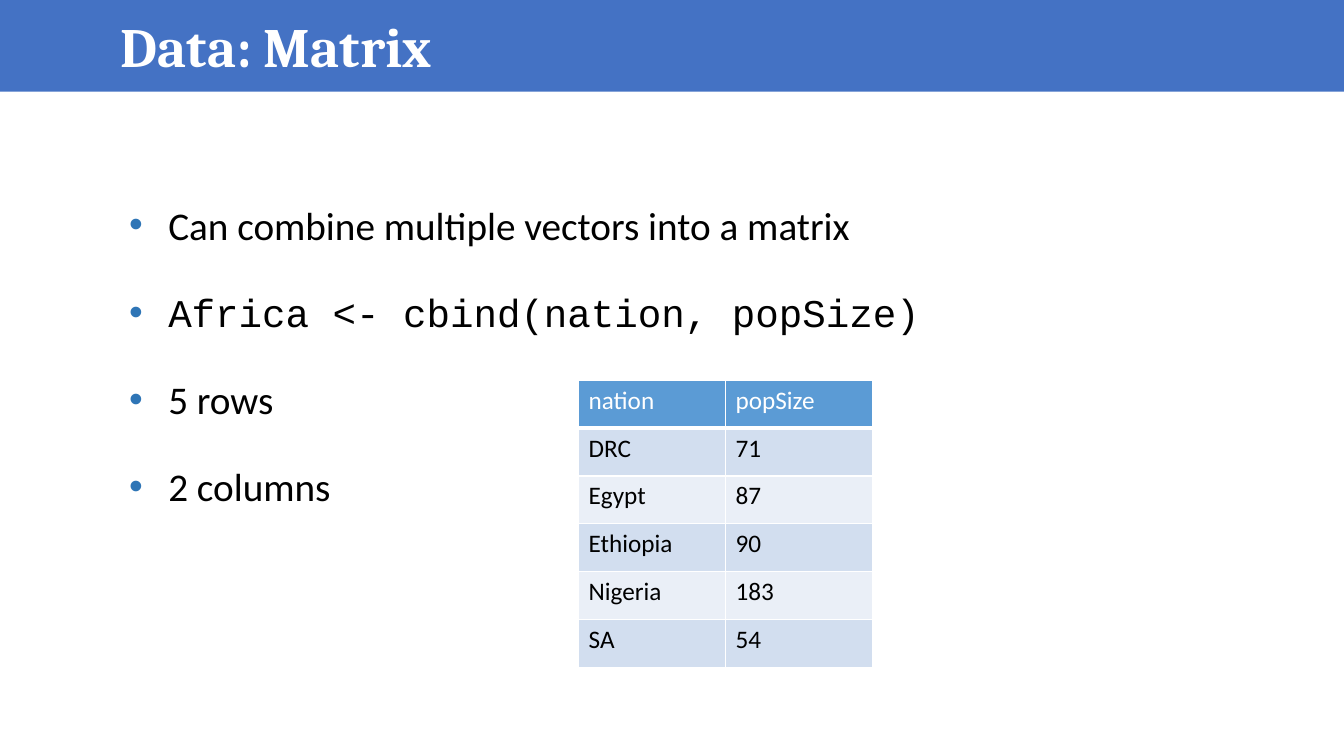
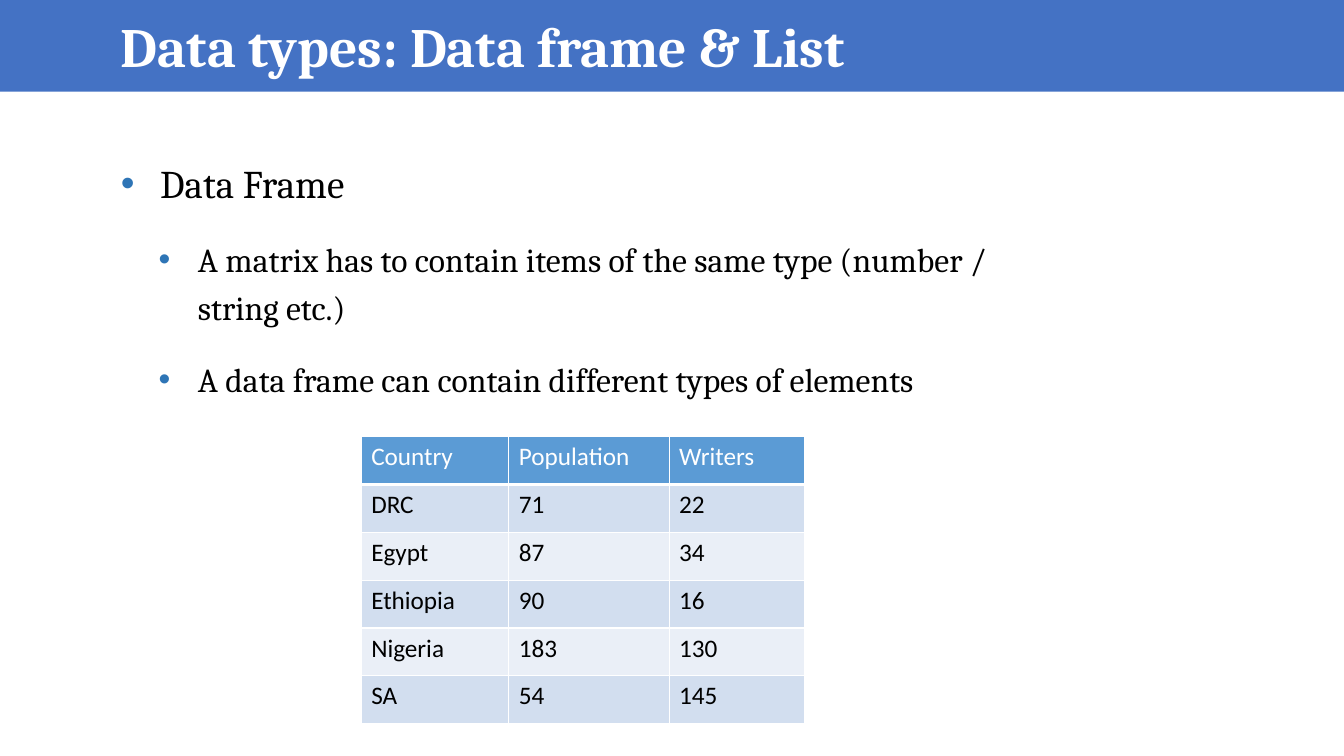
from lxml import etree
from pptx import Presentation
from pptx.dml.color import RGBColor
from pptx.enum.shapes import MSO_SHAPE
from pptx.enum.text import MSO_ANCHOR, MSO_AUTO_SIZE, PP_ALIGN
from pptx.oxml.ns import qn
from pptx.util import Pt

RECT = MSO_SHAPE.RECTANGLE
MIDDLE, TOP = MSO_ANCHOR.MIDDLE, MSO_ANCHOR.TOP
LEFT = PP_ALIGN.LEFT
NO_FIT = MSO_AUTO_SIZE.NONE

WIDE, HIGH = 960, 540
BAND = (0, 0, WIDE, 65.5)
HEAD = (79.2, 12.2, 800, 49.7)
ROW = 34.2
HANG = 28
INDENTS = [28, 55]
SIZES = [28, 24]
BEFORE = [10, 5]
SANS, SERIF, MONO = "Calibri", "Cambria", "Courier New"
HEX = {
    "band": "4472C4",
    "head": "5B9BD5",
    "odd": "D2DEEF",
    "even": "EAEFF7",
    "dot": "2E75B6",
    "ink": "000000",
    "white": "FFFFFF",
}


def color(name):
    return RGBColor.from_string(HEX[name])


def write(para, text, font=SANS, size=18, ink="ink", bold=False,
          lines=1.0, before=0, after=0):
    """Put formatted text into a paragraph."""
    para.alignment = LEFT
    para.line_spacing = lines
    para.space_before, para.space_after = Pt(before), Pt(after)
    run = para.add_run()
    run.text = text
    run.font.name, run.font.size, run.font.bold = font, Pt(size), bold
    run.font.color.rgb = color(ink)


def place(shape, box):
    shape.left, shape.top, shape.width, shape.height = map(Pt, box)


def add_fill(parent, name):
    fill = etree.SubElement(parent, qn("a:solidFill"))
    etree.SubElement(fill, qn("a:srgbClr"), val=HEX[name])


def add_dot(para, level):
    """Give a paragraph its bullet and hanging indent."""
    props = para._p.get_or_add_pPr()
    props.set("marL", str(Pt(INDENTS[level])))
    props.set("indent", str(-Pt(HANG)))
    tint = etree.SubElement(props, qn("a:buClr"))
    etree.SubElement(tint, qn("a:srgbClr"), val=HEX["dot"])
    etree.SubElement(props, qn("a:buFont"), typeface="Arial")
    etree.SubElement(props, qn("a:buChar"), char="•")


def add_edges(cell, base):
    props = cell._tc.get_or_add_tcPr()
    for side, width in (("L", 1), ("R", 1), ("T", 1), ("B", base)):
        edge = etree.SubElement(props, qn("a:ln" + side), w=str(Pt(width)))
        add_fill(edge, "white")


# Title over a full-width band
def add_head(slide, text):
    band = slide.shapes.add_shape(RECT, *map(Pt, BAND))
    band.shadow.inherit = False
    band.fill.solid()
    band.fill.fore_color.rgb = color("band")
    band.line.fill.background()
    band.element.getparent().insert(2, band.element)  # behind the title
    title = slide.shapes.title
    place(title, HEAD)
    frame = title.text_frame
    frame.auto_size, frame.vertical_anchor = NO_FIT, MIDDLE
    write(frame.paragraphs[0], text, font=SERIF, size=39.6, ink="white",
          bold=True, lines=0.8)


# Bulleted list: items are (level, font, text)
def add_list(slide, box, items):
    body = slide.placeholders[1]
    place(body, box)
    frame = body.text_frame
    frame.auto_size, frame.vertical_anchor = NO_FIT, TOP
    for i, (level, font, text) in enumerate(items):
        para = frame.add_paragraph() if i else frame.paragraphs[0]
        para.level = level
        add_dot(para, level)
        write(para, text, font=font, size=SIZES[level], lines=1.2,
              before=BEFORE[level] if i else 0, after=12)


# Banded table with a header row
def add_grid(slide, left, top, widths, rows):
    box = (left, top, sum(widths), ROW * len(rows))
    grid = slide.shapes.add_table(len(rows), len(widths), *map(Pt, box)).table
    for col, width in zip(grid.columns, widths):
        col.width = Pt(width)
    for r, values in enumerate(rows):
        grid.rows[r].height = Pt(ROW)
        shade = ("odd" if r % 2 else "even") if r else "head"
        for c, value in enumerate(values):
            cell = grid.cell(r, c)
            add_edges(cell, 1 if r else 3)
            cell.fill.solid()
            cell.fill.fore_color.rgb = color(shade)
            write(cell.text_frame.paragraphs[0], value,
                  ink="ink" if r else "white")


def add_page(deck, title, box, items, spot, widths, rows):
    slide = deck.slides.add_slide(deck.slide_layouts[1])
    add_list(slide, box, items)
    add_grid(slide, *spot, widths, rows)
    add_head(slide, title)


NATIONS = [
    ("DRC", "71", "22"),
    ("Egypt", "87", "34"),
    ("Ethiopia", "90", "16"),
    ("Nigeria", "183", "130"),
    ("SA", "54", "145"),
]


def main():
    deck = Presentation()
    deck.slide_width, deck.slide_height = Pt(WIDE), Pt(HIGH)
    add_page(
        deck, "Data: Matrix", (85, 133.2, 686, 265.7),
        [(0, SANS, "Can combine multiple vectors into a matrix"),
         (0, MONO, "Africa <- cbind(nation, popSize)"),
         (0, SANS, "5 rows"),
         (0, SANS, "2 columns")],
        (413.3, 271.6), [105, 105],
        [("nation", "popSize")] + [row[:2] for row in NATIONS])
    add_page(
        deck, "Data types: Data frame & List", (79.2, 103.7, 686, 265.7),
        [(0, SERIF, "Data Frame"),
         (1, SERIF, "A matrix has to contain items of the same type "
                    "(number / string etc.)"),
         (1, SERIF, "A data frame can contain different types of elements")],
        (258, 311.8), [105.5, 114.5, 96.5],
        [("Country", "Population", "Writers")] + NATIONS)
    deck.save("out.pptx")


if __name__ == "__main__":
    main()
